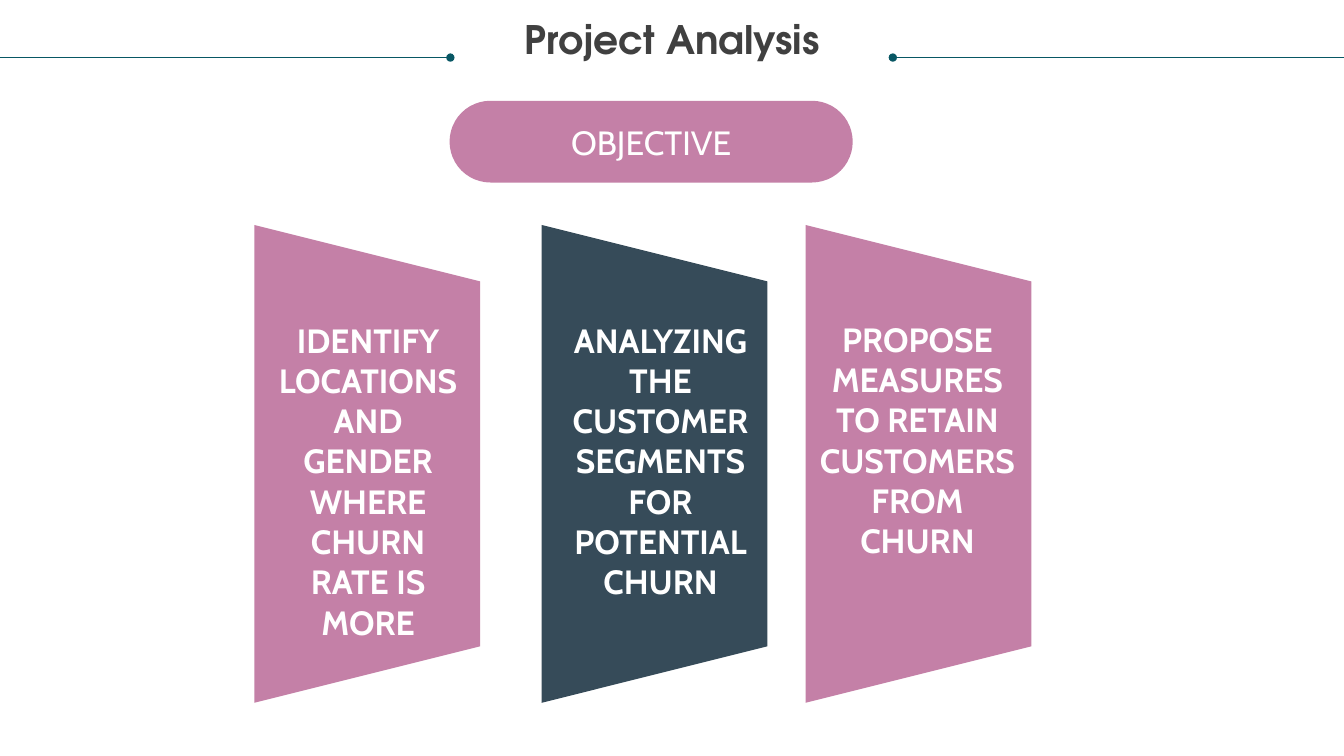
"""Builds the project analysis slide: a title, an objective and three panels."""
from lxml import etree
from pptx import Presentation
from pptx.dml.color import RGBColor
from pptx.enum.shapes import MSO_CONNECTOR, MSO_SHAPE
from pptx.enum.text import MSO_ANCHOR, PP_ALIGN
from pptx.oxml.ns import qn
from pptx.util import Cm, Pt

STRAIGHT = MSO_CONNECTOR.STRAIGHT
TRAPEZOID = MSO_SHAPE.TRAPEZOID
PILL = MSO_SHAPE.ROUNDED_RECTANGLE
TOP, MIDDLE = MSO_ANCHOR.TOP, MSO_ANCHOR.MIDDLE
CENTER = PP_ALIGN.CENTER
TITLE_ONLY = 5

COLORS = {"pink": "C480A7", "slate": "364B59", "teal": "085764",
          "gray": "404040", "white": "FFFFFF"}
TITLE = "Project Analysis"
OBJECTIVE = "OBJECTIVE"
TITLE_FONT, BODY_FONT = "TeX Gyre Adventor", "Cabin"

# panel left, fill, text box (left, top, width, height), paragraphs
PANELS = [
    (6.41, "pink", (6.99, 8.05, 4.57, 8.2),
     ["IDENTIFY LOCATIONS", "AND GENDER WHERE CHURN RATE IS MORE"]),
    (13.65, "slate", (14.12, 8.05, 5.05, 7.19),
     ["ANALYZING THE CUSTOMER SEGMENTS FOR POTENTIAL CHURN"]),
    (20.3, "pink", (20.62, 8.03, 5.0, 6.15),
     ["PROPOSE MEASURES", "TO RETAIN CUSTOMERS FROM CHURN"]),
]
PANEL_TOP, PANEL_WIDTH, PANEL_HEIGHT = 5.67, 5.69, 12.04
PAGE_WIDTH, PAGE_HEIGHT = 33.87, 19.05
RULE_Y = 1.45
RULES = [(0, 11.35), (PAGE_WIDTH, 22.5)]


def color(name):
    """Return the named colour."""
    return RGBColor.from_string(COLORS[name])


def write(shape, lines, font, size, tint, bold, anchor, spacing=1.0):
    """Fill a shape with centred paragraphs in one style."""
    frame = shape.text_frame
    frame.text = "\n".join(lines)
    frame.word_wrap = True
    frame.vertical_anchor = anchor
    frame.margin_left = frame.margin_right = 0
    frame.margin_top = frame.margin_bottom = 0
    for para in frame.paragraphs:
        para.alignment = CENTER
        para.line_spacing = spacing
        para.space_before = Pt(0)
        for span in para.runs:
            span.font.name = font
            span.font.size = Pt(size)
            span.font.bold = bold
            span.font.color.rgb = color(tint)


def add_block(page, kind, place, fill):
    """Add a flat preset shape without an outline."""
    block = page.shapes.add_shape(kind, *map(Cm, place))
    block.shadow.inherit = False
    block.fill.solid()
    block.fill.fore_color.rgb = color(fill)
    block.line.fill.background()
    return block


def add_rule(page, start, end):
    """Add a horizontal line that ends in a dot."""
    rule = page.shapes.add_connector(
        STRAIGHT, Cm(start), Cm(RULE_Y), Cm(end), Cm(RULE_Y))
    rule.line.color.rgb = color("teal")
    rule.line.width = Pt(0.5)
    etree.SubElement(rule.line._get_or_add_ln(), qn("a:tailEnd"), type="oval",
                     w="med", len="med")
    etree.SubElement(rule._element.spPr, qn("a:effectLst"))


def add_panel(page, left, fill):
    """Add a trapezoid turned so that its short side faces right."""
    shift = (PANEL_HEIGHT - PANEL_WIDTH) / 2
    place = (left - shift, PANEL_TOP + shift, PANEL_HEIGHT, PANEL_WIDTH)
    add_block(page, TRAPEZOID, place, fill).rotation = 90


def main():
    """Build and save the deck."""
    deck = Presentation()
    deck.slide_width, deck.slide_height = Cm(PAGE_WIDTH), Cm(PAGE_HEIGHT)
    page = deck.slides.add_slide(deck.slide_layouts[TITLE_ONLY])

    title = page.shapes.title
    title.left, title.top = Cm(0.64), Cm(0.53)
    title.width, title.height = Cm(32.59), Cm(2.16)
    write(title, [TITLE], TITLE_FONT, 28, "gray", True, TOP, 0.9)

    for start, end in RULES:
        add_rule(page, start, end)
    for left, fill, place, lines in PANELS:
        add_panel(page, left, fill)
        box = page.shapes.add_textbox(*map(Cm, place))
        write(box, lines, BODY_FONT, 24, "white", True, TOP)

    pill = add_block(page, PILL, (11.33, 2.54, 10.16, 2.06), "pink")
    pill.adjustments[0] = 0.5
    write(pill, [OBJECTIVE], BODY_FONT, 24, "white", False, MIDDLE)
    deck.save("out.pptx")


if __name__ == "__main__":
    main()
